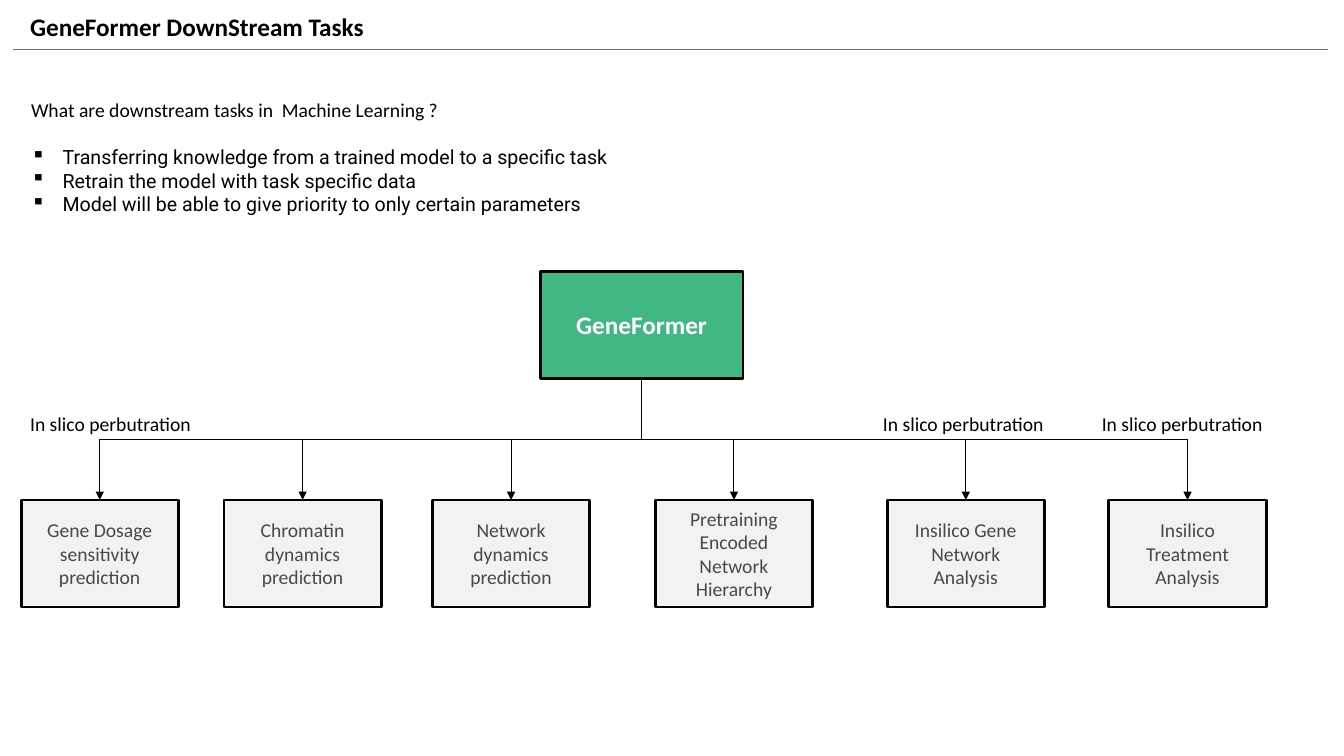
from lxml import etree
from pptx import Presentation
from pptx.dml.color import RGBColor
from pptx.enum.shapes import MSO_CONNECTOR, MSO_SHAPE
from pptx.enum.text import MSO_ANCHOR, PP_ALIGN
from pptx.oxml.ns import qn
from pptx.util import Pt

BLACK = RGBColor(0x00, 0x00, 0x00)
WHITE = RGBColor(0xFF, 0xFF, 0xFF)
GREEN = RGBColor(0x41, 0xB8, 0x83)
PALE_GREY = RGBColor(0xF2, 0xF2, 0xF2)
TEXT_GREY = RGBColor(0x48, 0x48, 0x48)
RULE_GREY = RGBColor(0x76, 0x71, 0x71)
ELBOW, STRAIGHT = MSO_CONNECTOR.ELBOW, MSO_CONNECTOR.STRAIGHT
RECTANGLE = MSO_SHAPE.RECTANGLE
MIDDLE = MSO_ANCHOR.MIDDLE
CENTER = PP_ALIGN.CENTER
BOTTOM_SITE, TOP_SITE = 2, 0

QUESTION = "What are downstream tasks in  Machine Learning ?"
ANSWERS = [
    "Transferring knowledge from a trained model to a specific task",
    "Retrain the model with task specific data",
    "Model will be able to give priority to only certain parameters",
]
BRANCH_LABEL = "In slico perbutration"
TASKS = [
    ("Gene Dosage sensitivity prediction", 0, -0.7),
    ("Chromatin dynamics prediction", 144.9, None),
    ("Network dynamics prediction", 293.8, None),
    ("Pretraining Encoded Network Hierarchy", 453, None),
    ("Insilico Gene Network Analysis", 718.6 - 100, -10.1),
    ("Insilico Treatment Analysis", 777, -12.2),
]


def style_para(para, size, color, bold=False, font="Calibri"):
    """Format every run of a paragraph."""
    for span in para.runs:
        span.font.name, span.font.size = font, Pt(size)
        span.font.color.rgb, span.font.bold = color, bold


def add_text(page, left, top, width, height, text, size=14, bold=False):
    """Add a wrapping text box with one black paragraph and return its frame."""
    frame = page.shapes.add_textbox(Pt(left), Pt(top), Pt(width), Pt(height)).text_frame
    frame.word_wrap = True
    frame.text = text
    style_para(frame.paragraphs[0], size, BLACK, bold)
    return frame


def add_node(page, left, top, width, height, text, fill, color, size=14, bold=False):
    """Add an outlined rectangle with centred text."""
    box = page.shapes.add_shape(RECTANGLE, Pt(left), Pt(top), Pt(width), Pt(height))
    box.shadow.inherit = False
    box.fill.solid()
    box.fill.fore_color.rgb = fill
    box.line.color.rgb, box.line.width = BLACK, Pt(2)
    frame = box.text_frame
    frame.word_wrap, frame.vertical_anchor = True, MIDDLE
    frame.text = text
    frame.paragraphs[0].alignment = CENTER
    style_para(frame.paragraphs[0], size, color, bold)
    return box


def add_line(page, kind, start, end, color):
    """Add a thin connector without a shadow."""
    line = page.shapes.add_connector(kind, *start, *end)
    line.line.color.rgb, line.line.width = color, Pt(0.75)
    etree.SubElement(line._element.spPr, qn("a:effectLst"))
    return line


def add_branch(page, parent, child):
    """Join a parent's bottom to a child's top by a down-across-down arrow."""
    start_x, start_y = parent.left + parent.width // 2, parent.top + parent.height
    end_x, end_y = child.left + child.width // 2, child.top
    branch = add_line(page, ELBOW, (start_x, start_y), (end_x, end_y), BLACK)
    branch.begin_connect(parent, BOTTOM_SITE)
    branch.end_connect(child, TOP_SITE)
    drop, reach = end_y - start_y, abs(end_x - start_x)
    branch.left = (start_x + end_x - drop) // 2
    branch.top = (start_y + end_y - reach) // 2
    branch.width, branch.height = drop, reach
    goes_right = end_x > start_x
    frame = branch._element.spPr.find(qn("a:xfrm"))
    frame.set("rot", str((270 if goes_right else 90) * 60000))
    frame.set("flipH", str(int(goes_right)))
    frame.set("flipV", "0")
    outline = branch.line._get_or_add_ln()
    etree.SubElement(outline, qn("a:tailEnd"), type="triangle")


def add_header(page, left, top, width, height):
    """Place the title and the rule beneath it."""
    add_text(page, left + 5, top, 392, 28.8, "GeneFormer DownStream Tasks", 18, True)
    rule_y = Pt(top + height)
    add_line(page, STRAIGHT, (Pt(left), rule_y), (Pt(left + width), rule_y), RULE_GREY)


def add_intro(page, left, top, width, height):
    """Place the question and its bulleted answers."""
    frame = add_text(page, left, top, width, height, QUESTION)
    for index, answer in enumerate(ANSWERS):
        para = frame.add_paragraph()
        para.text = answer
        properties = para._p.get_or_add_pPr()
        properties.set("marL", str(Pt(22.5)))
        properties.set("indent", str(-Pt(22.5)))
        bullet_color = etree.SubElement(properties, qn("a:buClr"))
        etree.SubElement(bullet_color, qn("a:srgbClr"), val=str(BLACK))
        etree.SubElement(properties, qn("a:buChar"), char="▪")
        if index == 0:
            para.space_before = Pt(17)
        style_para(para, 14, BLACK, font="Roboto")


def add_task_tree(page, left, top, width, height):
    """Place the model, its tasks, the arrows and the branch labels."""
    node_height = 76.5
    model = add_node(page, left + 370.7, top, 145, node_height,
                     "GeneFormer", GREEN, WHITE, 18, True)
    task_width = width - TASKS[-1][1]
    for name, offset, label_shift in TASKS:
        task = add_node(page, left + offset, top + height - node_height, task_width,
                        node_height, name, PALE_GREY, TEXT_GREY)
        add_branch(page, model, task)
        if label_shift is not None:
            add_text(page, left + offset + label_shift, top + 97.2, 156, 35, BRANCH_LABEL)


def main():
    """Build and save the slide."""
    deck = Presentation()
    deck.slide_width, deck.slide_height = Pt(960), Pt(540)
    page = deck.slides.add_slide(deck.slide_layouts[6])
    add_header(page, 9.4, 4.3, 939, 31)
    add_intro(page, 15.1, 66.2, 443, 92.2)
    add_task_tree(page, 15.1, 193.7, 889.3, 239.9)
    deck.save("out.pptx")


if __name__ == "__main__":
    main()
